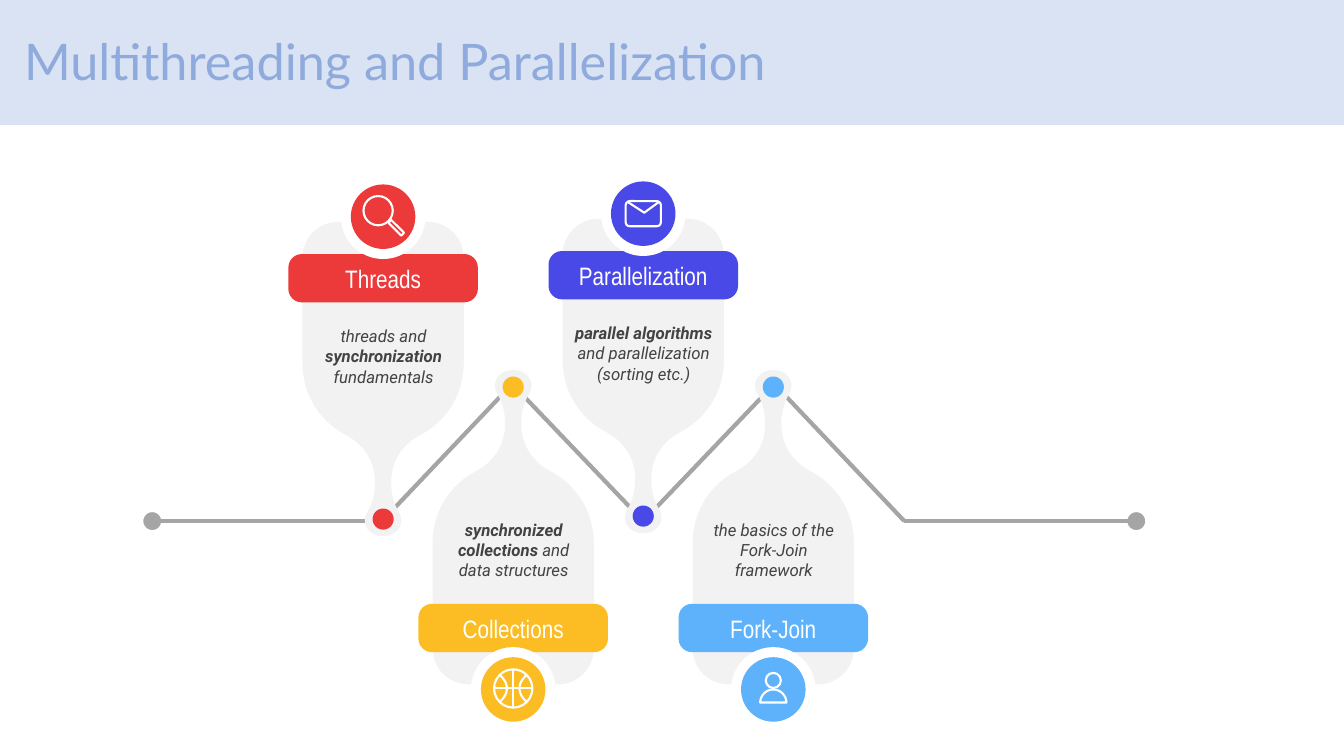
from itertools import pairwise

from lxml.etree import SubElement
from pptx import Presentation
from pptx.dml.color import RGBColor
from pptx.enum.shapes import MSO_CONNECTOR, MSO_SHAPE
from pptx.enum.text import MSO_ANCHOR, PP_ALIGN
from pptx.oxml.ns import qn
from pptx.util import Inches, Pt

COLORS = {
    "white": "FFFFFF", "gray": "A5A5A5", "flask": "F2F2F2", "text": "434343",
    "band": "DAE3F3", "title": "8FAADC",
    "red": "EC3A3B", "yellow": "FCBD24", "indigo": "4949E7", "blue": "5EB2FC",
}
OVAL, ROUNDED = MSO_SHAPE.OVAL, MSO_SHAPE.ROUNDED_RECTANGLE

deck = Presentation()
deck.slide_width, deck.slide_height = Inches(13.33), Inches(7.5)
page = deck.slides.add_slide(deck.slide_layouts[6])


def flatten(start, *curves, steps=12):
    """Turn Bezier curves (three points each) into a list of points."""
    points = [start]
    for curve in curves:
        corners = (points[-1], *curve)
        for step in range(1, steps + 1):
            t = step / steps
            weights = ((1 - t) ** 3, 3 * t * (1 - t) ** 2, 3 * t * t * (1 - t), t ** 3)
            points.append(tuple(sum(w * c[axis] for w, c in zip(weights, corners))
                                for axis in (0, 1)))
    return points


def draw(form, x, y, width, height, fill=None, line=None, weight=1.5, angle=0):
    """Draw a preset centred on x, y, or a point list scaled by width and height."""
    if isinstance(form, list):
        points = [(Inches(x + px * width), Inches(y + py * height)) for px, py in form]
        builder = page.shapes.build_freeform(*points[0])
        builder.add_line_segments(points[1:], close=fill is not None)
        shape = builder.convert_to_shape()
    else:
        shape = page.shapes.add_shape(form, Inches(x - width / 2), Inches(y - height / 2),
                                      Inches(width), Inches(height))
    shape.shadow.inherit = False
    shape.rotation = angle
    for paint, color in ((shape.fill, fill), (shape.line.fill, line)):
        if color:
            paint.solid()
            paint.fore_color.rgb = RGBColor.from_string(COLORS[color])
        else:
            paint.background()
    if line:
        shape.line.width = Pt(weight)
    return shape


# Flask outline: x from its axis, y from the dot towards the body
flask_side = flatten((0.44, 2.95), ((0.64, 2.95), (0.8, 2.79), (0.8, 2.59)))
flask_side += flatten((0.8, 1.55),
                      ((0.8, 1.23), (0.62, 0.96), (0.36, 0.83)),
                      ((0.19, 0.74), (0.08, 0.57), (0.08, 0.37)),
                      ((0.08, 0.26), (0.1, 0.17), (0.15, 0.08)),
                      ((0.17, 0.05), (0.18, 0.02), (0.18, -0.02)),
                      ((0.18, -0.1), (0.1, -0.17), (0, -0.17)))
flask = flask_side + [(-x, y) for x, y in reversed(flask_side[:-1])]

# Icons: form, offset from the disc centre, size or scale, fill, rotation
envelope_flap = [(-0.16, -0.12), (0.01, -0.01), (0.16, -0.12)]
globe_arc = flatten((-0.13, -0.13), ((-0.04, -0.05), (-0.04, 0.05), (-0.13, 0.13)))
shoulders = flatten((-0.13, 0.13), ((-0.13, 0.06), (-0.07, 0), (0, 0)),
                    ((0.07, 0), (0.13, 0.06), (0.13, 0.13)))
shoulders.append(shoulders[0])
magnifier = [(OVAL, -0.05, -0.06, 0.29, 0.29, 0),
             (ROUNDED, 0.13, 0.11, 0.18, 0.04, 45)]
envelope = [(ROUNDED, 0, 0, 0.35, 0.25, 0), (envelope_flap, 0, 0, 1, 1, 0)]
globe = [(OVAL, 0, -0.01, 0.38, 0.38, 0),
         ([(-0.19, 0), (0.19, 0)], 0, -0.01, 1, 1, 0),
         ([(0, -0.19), (0, 0.19)], 0, -0.01, 1, 1, 0),
         (globe_arc, 0, -0.01, 1, 1, 0), (globe_arc, 0, -0.01, -1, 1, 0)]
person = [(OVAL, 0, -0.09, 0.15, 0.15, 0), (shoulders, 0, 0, 1, 1, 0)]

# Cards: name, color, dot height, body direction, icon, paragraphs of (text, bold)
cards = [
    ("Threads", "red", 5.15, -1, magnifier,
     [[("threads and ", False), ("synchronization", True), (" fundamentals", False)]]),
    ("Collections", "yellow", 3.84, 1, globe,
     [[("synchronized collections", True), (" and data structures", False)]]),
    ("Parallelization", "indigo", 5.12, -1, envelope,
     [[("parallel algorithms", True), (" and parallelization", False)],
      [("(sorting etc.)", False)]]),
    ("Fork-Join", "blue", 3.84, 1, person,
     [[("the basics of the Fork-Join framework", False)]]),
]

# Zigzag path with its end dots
for x in (1.51, 11.27):
    draw(OVAL, x, 5.17, 0.21, 0.21, "gray", "white", 2.25)
stops = [(1.46, 5.17), (3.79, 5.17), (5.08, 3.81), (6.38, 5.17),
         (7.68, 3.81), (8.97, 5.17), (11.29, 5.17)]
for (x1, y1), (x2, y2) in pairwise(stops):
    link = page.shapes.add_connector(MSO_CONNECTOR.STRAIGHT, Inches(x1), Inches(y1),
                                     Inches(x2), Inches(y2))
    link.line.color.rgb = RGBColor.from_string(COLORS["gray"])
    link.line.width = Pt(3)
    SubElement(link._element.spPr, qn("a:effectLst"))

# Cards along the path
for index, (name, color, dot_y, side, icon, description) in enumerate(cards):
    x = 3.8 + 1.29 * index
    disc_y = dot_y + side * 3
    draw(flask, x, dot_y, 1, side, "flask")
    banner = draw(ROUNDED, x, dot_y + side * 2.39, 1.88, 0.48, color)
    banner.adjustments[0] = 0.28
    draw(OVAL, x, dot_y, 0.21, 0.21, color)
    draw(OVAL, x, disc_y, 0.84, 0.84, "white")
    draw(OVAL, x, disc_y, 0.64, 0.64, color)
    for form, dx, dy, width, height, angle in icon:
        draw(form, x + dx, disc_y + dy, width, height, None, "white", angle=angle)

    box = page.shapes.add_textbox(Inches(x - 0.8), Inches(dot_y + side * 1.615 - 0.415),
                                  Inches(1.61), Inches(0.83))
    labels = [(banner, [[(name, False)]], "Arial Narrow", 18, "white", False),
              (box, description, "Roboto", 12, "text", True)]
    for holder, paragraphs, font, size, ink, italic in labels:
        frame = holder.text_frame
        frame.word_wrap = True
        frame.vertical_anchor = MSO_ANCHOR.MIDDLE
        frame.margin_left = frame.margin_right = Inches(0.1)
        frame.margin_top = frame.margin_bottom = Inches(0.1)
        for number, runs in enumerate(paragraphs):
            para = frame.add_paragraph() if number else frame.paragraphs[0]
            para.alignment = PP_ALIGN.CENTER
            para.font.name, para.font.size = font, Pt(size)
            para.font.italic = italic
            para.font.color.rgb = RGBColor.from_string(COLORS[ink])
            for text, bold in runs:
                span = para.add_run()
                span.text = text
                span.font.bold = bold

# Title band
draw(MSO_SHAPE.RECTANGLE, 6.645, 0.605, 13.57, 1.29, "band", "white", 1)
title = page.shapes.add_textbox(Inches(0.14), Inches(-0.09), Inches(11.5), Inches(1.45))
title.text_frame.word_wrap = True
title.text_frame.vertical_anchor = MSO_ANCHOR.MIDDLE
para = title.text_frame.paragraphs[0]
para.text = "Multithreading and Parallelization"
para.line_spacing = 0.9
para.font.name, para.font.size = "Lato", Pt(36)
para.font.color.rgb = RGBColor.from_string(COLORS["title"])

deck.save("out.pptx")
